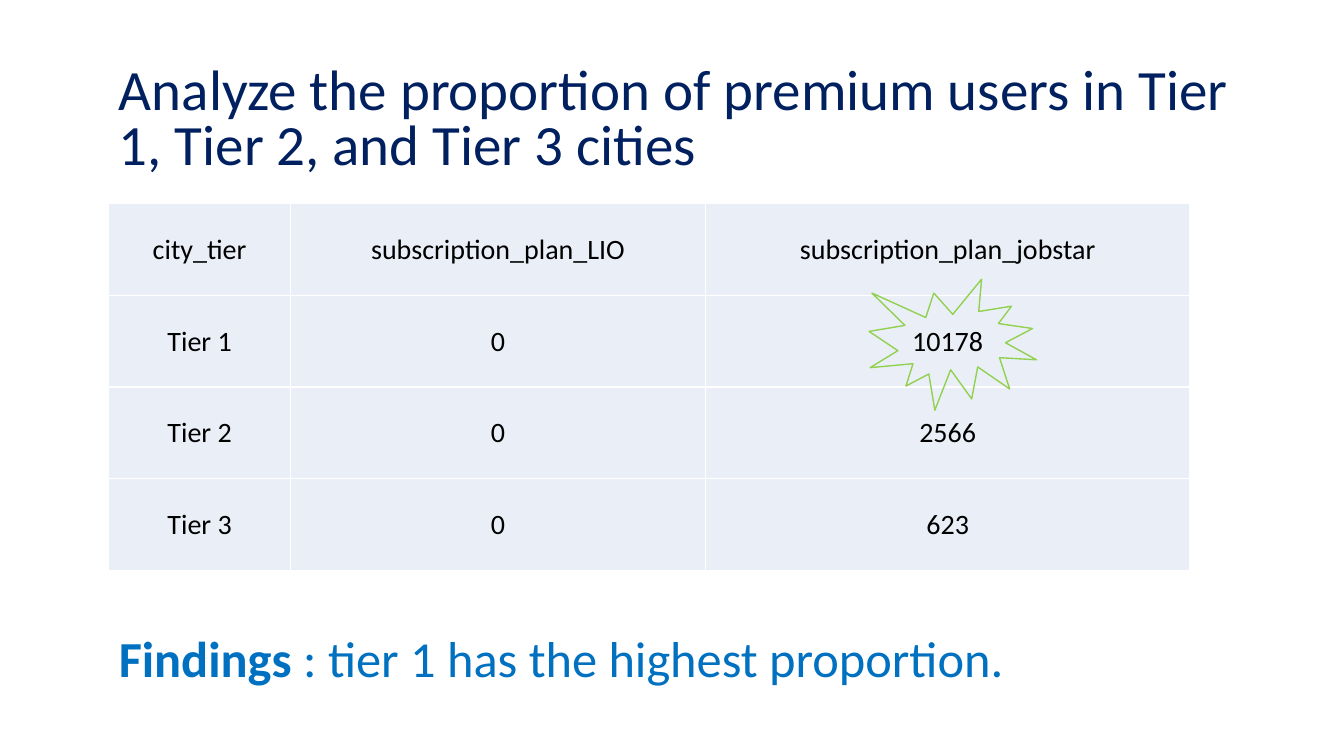
from lxml.etree import SubElement as Sub
from pptx import Presentation
from pptx.dml.color import RGBColor as RGB
from pptx.enum.shapes import MSO_SHAPE as Shape
from pptx.enum.text import MSO_ANCHOR as Anchor, MSO_AUTO_SIZE as Fit, PP_ALIGN as Align
from pptx.oxml.ns import qn
from pptx.util import Pt

PX = 9144
HUES = {"navy": "002060", "blue": "0070C0", "ink": "000000",
        "pale": "EAEFF7", "white": "FFFFFF", "green": "92D050"}
COLS = (180, 412, 480)
ROWS = (
    ("city_tier", "subscription_plan_LIO", "subscription_plan_jobstar"),
    ("Tier 1", "0", "10178"),
    ("Tier 2", "0", "2566"),
    ("Tier 3", "0", "623"),
)


def emu(*box):
    """Turn px lengths into EMU."""
    return [n * PX for n in box]


def hue(name):
    """Look up a colour by name."""
    return RGB.from_string(HUES[name])


def style(para, size, name, align, gap=None):
    """Set the font, alignment and line spacing of a paragraph."""
    font = para.font
    font.name, font.size = "Calibri", Pt(size)
    font.color.rgb = hue(name)
    para.alignment, para.line_spacing = align, gap


def frame(shape):
    """Ready a shape's text frame and return its first paragraph."""
    text = shape.text_frame
    text.word_wrap, text.auto_size = True, Fit.NONE
    text.vertical_anchor = Anchor.MIDDLE
    return text.paragraphs[0]


def head(slide, box):
    """Place the title."""
    title = slide.shapes.title
    title.left, title.top, title.width, title.height = emu(*box)
    para = frame(title)
    para.text = "Analyze the proportion of premium users in Tier 1, Tier 2, and Tier 3 cities"
    style(para, 40.7, "navy", Align.LEFT, 0.8)


def edge(cell):
    """Draw thin white borders round a cell."""
    props = cell._tc.get_or_add_tcPr()
    for side in ("lnL", "lnR", "lnT", "lnB"):
        line = Sub(props, qn(f"a:{side}"), w=str(Pt(1)))
        fill = Sub(line, qn("a:solidFill"))
        Sub(fill, qn("a:srgbClr"), val=HUES["white"])


def grid(slide, box):
    """Place the table of tiers and mark the top value."""
    x, y, w, h = box
    high = h // len(ROWS)
    table = slide.shapes.add_table(len(ROWS), len(COLS), *emu(*box)).table
    for col, wide in zip(table.columns, COLS):
        col.width = wide * PX
    for r, row in enumerate(ROWS):
        table.rows[r].height = high * PX
        for c, text in enumerate(row):
            cell = table.cell(r, c)
            edge(cell)
            cell.fill.solid()
            cell.fill.fore_color.rgb = hue("pale")
            cell.margin_left = cell.margin_right = cell.margin_top = PX
            cell.margin_bottom = 0
            cell.vertical_anchor = Anchor.MIDDLE
            cell.text = text
            style(cell.text_frame.paragraphs[0], 20, "ink", Align.CENTER)
    burst(slide, (x + 754, y + high - 16, 166, 130))


def burst(slide, box):
    """Place an outlined starburst."""
    star = slide.shapes.add_shape(Shape.EXPLOSION1, *emu(*box))
    star.shadow.inherit = False
    star.fill.background()
    star.line.color.rgb = hue("green")
    star.line.width = Pt(1)


def note(slide, box):
    """Place the findings."""
    para = frame(slide.shapes.add_textbox(*emu(*box)))
    style(para, 36, "blue", Align.LEFT, 0.9)
    for text, bold in (("Findings", True), (" : tier 1 has the highest proportion.", False)):
        run = para.add_run()
        run.text, run.font.bold = text, bold


def main():
    """Build and save the slide."""
    deck = Presentation()
    deck.slide_width, deck.slide_height = emu(1333, 750)
    slide = deck.slides.add_slide(deck.slide_layouts[5])
    head(slide, (108, 57, 1150, 127))
    grid(slide, (108, 202, sum(COLS), 364))
    note(slide, (108, 583, 1150, 145))
    deck.save("out.pptx")


if __name__ == "__main__":
    main()
